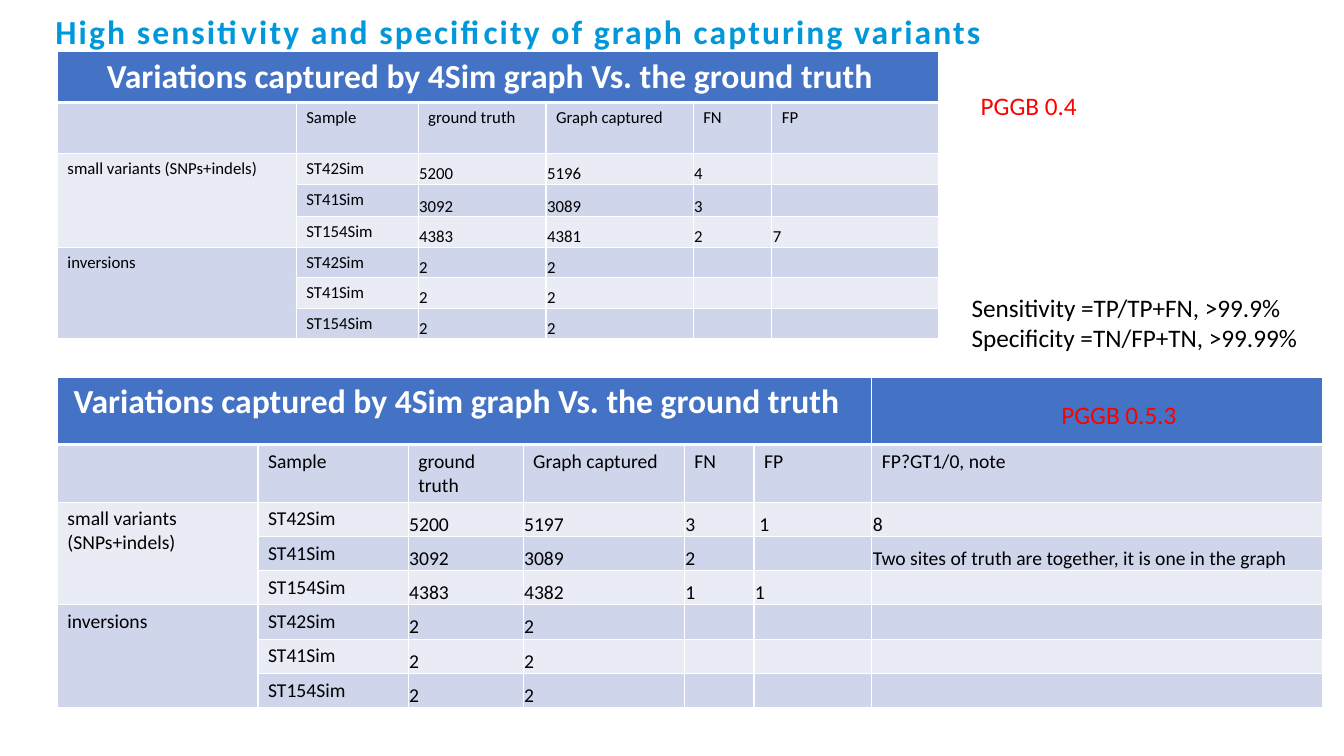
"""Build the slide comparing variants captured by the graph with the ground truth."""
from dataclasses import dataclass

from lxml import etree
from pptx import Presentation
from pptx.dml.color import RGBColor
from pptx.enum.text import MSO_ANCHOR, MSO_AUTO_SIZE, PP_ALIGN
from pptx.oxml.ns import qn
from pptx.util import Pt

TOP, BOTTOM = MSO_ANCHOR.TOP, MSO_ANCHOR.BOTTOM
LEFT, CENTER = PP_ALIGN.LEFT, PP_ALIGN.CENTER
GROW, NO_FIT = MSO_AUTO_SIZE.SHAPE_TO_FIT_TEXT, MSO_AUTO_SIZE.NONE
TITLE_ONLY = 5
FONT = "Calibri"
WHITE, BLACK, RED, SKY = "FFFFFF", "000000", "FF0000", "0097DB"
HEADER_FILL, DARK_BAND, LIGHT_BAND = "4472C4", "CFD5EA", "E9EBF5"
HEADING = "Variations captured by 4Sim graph Vs. the ground truth"
HEADING_SPAN = 6
SAMPLES = ("ST42Sim", "ST41Sim", "ST154Sim")
GROUPS = ("small variants (SNPs+indels)", "inversions")
COLUMNS = ("", "Sample", "ground truth", "Graph captured", "FN", "FP")
INVERSION_COUNTS = [("2", "2")] * len(SAMPLES)


@dataclass
class VariantTable:
    left: float
    top: float
    widths: list[float]
    heights: list[float]
    size: float
    columns: tuple[str, ...]
    small_variant_counts: list[tuple[str, ...]]


@dataclass
class Note:
    left: float
    top: float
    width: float
    height: float
    lines: tuple[str, ...]
    color: str
    wrap: bool


TABLES = [
    VariantTable(
        41, 36.7, [170.6, 87.1, 91.4, 105.1, 56.2, 118.8],
        [33.1, 36.7, 20.9, 23, 20.9, 20.9, 20.9, 20.9], 12, COLUMNS,
        [("5200", "5196", "4"), ("3092", "3089", "3"), ("4383", "4381", "2", "7")]),
    VariantTable(
        41, 269.3, [143.3, 107.3, 82.1, 115.2, 49.7, 84.2, 321.8],
        [48.2, 41, 24.5, 23, 24.5, 24.5, 24.5, 24.5], 14, COLUMNS + ("FP?GT1/0, note",),
        [("5200", "5197", "3", " 1", "8"),
         ("3092", "3089", "2", "", "Two sites of truth are together, it is one in the graph"),
         ("4383", "4382", "1", "1")]),
]
NOTES = [
    Note(686.9, 205.2, 321.8, 51.1,
         ("Sensitivity =TP/TP+FN, >99.9%", "Specificity =TN/FP+TN, >99.99%"), BLACK, True),
    Note(693.4, 61.2, 83.5, 28.8, ("PGGB 0.4",), RED, False),
    Note(751, 281.5, 97.9, 28.8, ("PGGB 0.5.3",), RED, False),
]


def rgb(color: str) -> RGBColor:
    return RGBColor.from_string(color)


def add_run(paragraph, text: str, size: float, color: str, bold: bool = False):
    run = paragraph.add_run()
    run.text = text
    run.font.name = FONT
    run.font.size = Pt(size)
    run.font.bold = bold
    run.font.color.rgb = rgb(color)
    return run


def add_title(slide) -> None:
    title = slide.shapes.title
    title.left, title.top, title.width, title.height = Pt(32.4), Pt(4.3), Pt(863.3), Pt(36)
    frame = title.text_frame
    frame.word_wrap = True
    frame.auto_size = NO_FIT
    frame.vertical_anchor = TOP
    paragraph = frame.paragraphs[0]
    paragraph.alignment = LEFT
    text = "High sensitivity and specificity of graph capturing variants"
    run = add_run(paragraph, text, 24, SKY, True)
    run.font._element.set("spc", "150")


def add_note(slide, note: Note) -> None:
    box = slide.shapes.add_textbox(Pt(note.left), Pt(note.top), Pt(note.width), Pt(note.height))
    frame = box.text_frame
    frame.word_wrap = note.wrap
    frame.auto_size = GROW
    for index, line in enumerate(note.lines):
        paragraph = frame.add_paragraph() if index else frame.paragraphs[0]
        add_run(paragraph, line, 18, note.color)


def set_borders(cell, top: float, bottom: float) -> None:
    properties = cell._tc.get_or_add_tcPr()
    for side, width in (("L", 1), ("R", 1), ("T", top), ("B", bottom)):
        line = etree.SubElement(properties, qn(f"a:ln{side}"), w=str(Pt(width)))
        fill = etree.SubElement(line, qn("a:solidFill"))
        etree.SubElement(fill, qn("a:srgbClr"), val=WHITE)


def table_rows(variants: VariantTable) -> list[tuple[str, ...]]:
    rows = [(HEADING,), variants.columns]
    for group, counts in zip(GROUPS, (variants.small_variant_counts, INVERSION_COUNTS)):
        for index, (sample, values) in enumerate(zip(SAMPLES, counts)):
            rows.append(("" if index else group, sample, *values))
    return rows


def fill_cell(cell, text: str, row: int, column: int, size: float) -> None:
    set_borders(cell, 3 if row == 1 else 1, 3 if row == 0 else 1)
    cell.fill.solid()
    cell.fill.fore_color.rgb = rgb((DARK_BAND if row % 2 else LIGHT_BAND) if row else HEADER_FILL)
    paragraph = cell.text_frame.paragraphs[0]
    if not text:
        etree.SubElement(paragraph._p, qn("a:endParaRPr"), sz=str(int(size * 100)))
    elif row == 0:
        paragraph.alignment = CENTER
        cell.margin_right = Pt(18.6)
        add_run(paragraph, text, 24, WHITE, True)
    else:
        add_run(paragraph, text, size, BLACK)
        if row > 1 and column > 1:
            cell.vertical_anchor = BOTTOM
            cell.margin_left = cell.margin_right = cell.margin_top = Pt(0.7)
            cell.margin_bottom = Pt(0)


def add_variant_table(slide, variants: VariantTable) -> None:
    rows = table_rows(variants)
    table = slide.shapes.add_table(
        len(rows), len(variants.widths), Pt(variants.left), Pt(variants.top),
        Pt(sum(variants.widths)), Pt(sum(variants.heights))).table
    table.first_row = table.horz_banding = False
    for column, width in zip(table.columns, variants.widths):
        column.width = Pt(width)
    for row, height in zip(table.rows, variants.heights):
        row.height = Pt(height)
    for row, texts in enumerate(rows):
        for column in range(len(variants.widths)):
            text = texts[column] if column < len(texts) else ""
            fill_cell(table.cell(row, column), text, row, column, variants.size)
    table.cell(0, 0).merge(table.cell(0, HEADING_SPAN - 1))
    for first in range(2, len(rows), len(SAMPLES)):
        table.cell(first, 0).merge(table.cell(first + len(SAMPLES) - 1, 0))


def main() -> None:
    deck = Presentation()
    deck.slide_width, deck.slide_height = Pt(960), Pt(540)
    slide = deck.slides.add_slide(deck.slide_layouts[TITLE_ONLY])
    add_title(slide)
    for variants in TABLES:
        add_variant_table(slide, variants)
    for note in NOTES:
        add_note(slide, note)
    deck.save("out.pptx")


if __name__ == "__main__":
    main()
